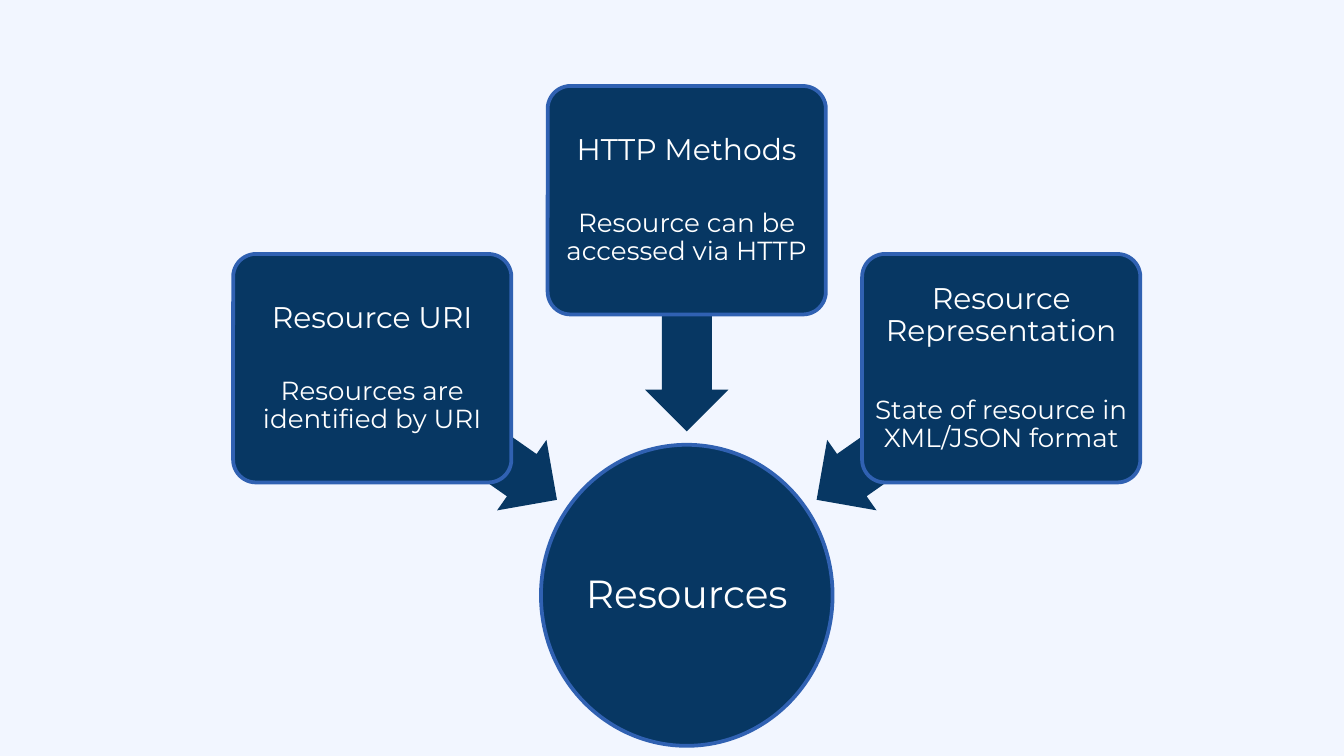
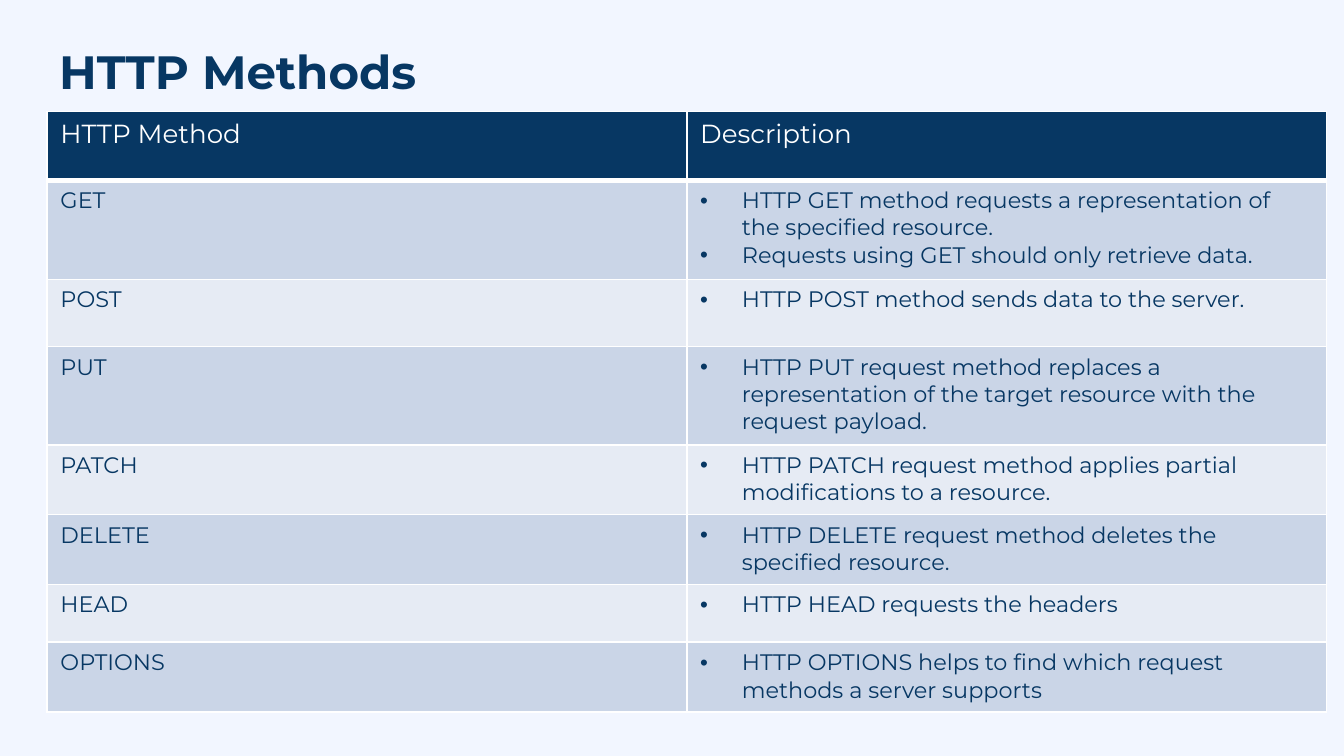
from typing import NamedTuple

from lxml.etree import SubElement
from pptx import Presentation
from pptx.dml.color import RGBColor
from pptx.enum.shapes import MSO_SHAPE as Kind
from pptx.enum.text import MSO_ANCHOR as Anchor, PP_ALIGN as Align
from pptx.oxml.ns import qn
from pptx.util import Inches, Pt

FONT = "Montserrat"
NAVY, BLUE, WHITE, PALE = "073763", "3061B2", "FFFFFF", "F2F6FF"
BANDS = ("CAD5E7", "E6EBF4")
WIDE = 10
MID = 5.11
STEP = 2.34
BOX_W, BOX_H = 2.07, 1.7


class Box(NamedTuple):
    """A rounded box with a heading, a note and the arrow that leaves it."""
    step: int
    top: float
    head: str
    note: str
    gap: float
    shift: float
    mid: float
    size: tuple[float, float]
    turn: int


class Method(NamedTuple):
    """A table row: its height, the method and what it does."""
    height: float
    name: str
    notes: tuple[str, ...]


BOXES = (
    Box(-1, 1.89, "Resource URI", "Resources are identified by URI",
        23, -1.65, 3.24, (1.67, 0.64), 215),
    Box(0, 0.64, "HTTP Methods", "Resource can be accessed via HTTP",
        23, 0, 2.35, (1.72, 0.62), 270),
    Box(1, 1.89, "Resource Representation", "State of resource in XML/JSON format",
        26, 1.65, 3.24, (1.67, 0.64), 325),
)

METHODS = (
    Method(0.74, "GET", (
        "HTTP GET method requests a representation of the specified resource.",
        "Requests using GET should only retrieve data.")),
    Method(0.5, "POST", ("HTTP POST method sends data to the server.",)),
    Method(0.73, "PUT", (
        "HTTP PUT request method replaces a representation of the target "
        "resource with the request payload.",)),
    Method(0.52, "PATCH", (
        "HTTP PATCH request method applies partial modifications to a resource.",)),
    Method(0.52, "DELETE", (
        "HTTP DELETE request method deletes the specified resource.",)),
    Method(0.43, "HEAD", ("HTTP HEAD requests the headers",)),
    Method(0.52, "OPTIONS", (
        "HTTP OPTIONS helps to find which request methods a server supports",)),
)


def paint(fill, color: str) -> None:
    """Make a fill solid in a hex colour."""
    fill.solid()
    fill.fore_color.rgb = RGBColor.from_string(color)


def style(para, size: float, color: str) -> None:
    """Set the font of a paragraph."""
    para.font.name = FONT
    para.font.size = Pt(size)
    paint(para.font.fill, color)


def shape(slide, kind: Kind, mid: float, top: float, width: float, height: float,
          edge: bool = True):
    """Add a navy shape centred on mid, with or without a blue edge."""
    item = slide.shapes.add_shape(
        kind, Inches(mid - width / 2), Inches(top), Inches(width), Inches(height))
    item.shadow.inherit = False
    paint(item.fill, NAVY)
    if edge:
        paint(item.line.fill, BLUE)
        item.line.width = Pt(2)
    else:
        item.line.fill.background()
    return item


def label(item, lines: tuple[tuple[str, float], ...], inset: float,
          gap: float = 0) -> None:
    """Write centred white lines in a shape, with a gap between them."""
    frame = item.text_frame
    frame.word_wrap = True
    frame.vertical_anchor = Anchor.MIDDLE
    frame.margin_left = frame.margin_right = Inches(inset)
    frame.margin_top = frame.margin_bottom = Inches(inset)
    for i, (text, size) in enumerate(lines):
        para = frame.add_paragraph() if i else frame.paragraphs[0]
        para.text = text
        para.alignment = Align.CENTER
        para.line_spacing = 0.9
        if i:
            para.space_before = Pt(gap)
        style(para, size, WHITE)


def bullet(para) -> None:
    """Give a paragraph a navy bullet and a hanging indent."""
    props = para._p.get_or_add_pPr()
    props.set("marL", str(Inches(0.31)))
    props.set("indent", str(-Inches(0.31)))
    tint = SubElement(props, qn("a:buClr"))
    SubElement(tint, qn("a:srgbClr"), val=NAVY)
    SubElement(props, qn("a:buFont"), typeface="Arial")
    SubElement(props, qn("a:buChar"), char="•")


def rule(cell, top: float, base: float) -> None:
    """Draw white borders around a cell, 1 point wide at the sides."""
    props = cell._tc.get_or_add_tcPr()
    for side, width in (("L", 1), ("R", 1), ("T", top), ("B", base)):
        line = SubElement(props, qn(f"a:ln{side}"), w=str(Pt(width)))
        tint = SubElement(line, qn("a:solidFill"))
        SubElement(tint, qn("a:srgbClr"), val=WHITE)


def fill_cell(cell, lines: tuple[str, ...], size: float, ink: str, back: str,
              dots: bool = False) -> None:
    """Colour a table cell and write its lines."""
    paint(cell.fill, back)
    frame = cell.text_frame
    for i, text in enumerate(lines):
        para = frame.add_paragraph() if i else frame.paragraphs[0]
        para.text = text
        if dots:
            bullet(para)
        style(para, size, ink)


def draw_hub(deck) -> None:
    """Draw the resource circle and the boxes that point at it."""
    slide = deck.slides.add_slide(deck.slide_layouts[6])
    hub = shape(slide, Kind.OVAL, MID, 3.31, 2.17, 2.24)
    label(hub, (("Resources", 21),), 0.01)
    for box in BOXES:
        width, height = box.size
        arrow = shape(slide, Kind.LEFT_ARROW, MID + box.shift, box.mid - height / 2,
                      width, height, edge=False)
        arrow.adjustments[0] = 0.6
        arrow.rotation = box.turn
        card = shape(slide, Kind.ROUNDED_RECTANGLE, MID + box.step * STEP, box.top,
                     BOX_W, BOX_H)
        card.adjustments[0] = 0.1
        label(card, ((box.head, 16), (box.note, 14)), 0.03, box.gap)


def draw_table(deck) -> None:
    """Draw the title and the table of methods."""
    slide = deck.slides.add_slide(deck.slide_layouts[5])
    title = slide.shapes.title
    title.left, title.top = Inches(0.34), Inches(0.21)
    title.width, title.height = Inches(9.32), Inches(0.63)
    frame = title.text_frame
    frame.text = "HTTP Methods"
    frame.vertical_anchor = Anchor.MIDDLE
    frame.margin_left = frame.margin_right = Inches(0.1)
    frame.margin_top = frame.margin_bottom = Inches(0.1)
    para = frame.paragraphs[0]
    para.alignment = Align.LEFT
    para.font.bold = True
    style(para, 25, NAVY)

    tall = 0.51 + sum(row.height for row in METHODS)
    grid = slide.shapes.add_table(len(METHODS) + 1, 2, Inches(0.35), Inches(0.83),
                                  Inches(9.52), Inches(tall)).table
    grid.rows[0].height = Inches(0.51)
    for col, text in enumerate(("HTTP Method", "Description")):
        rule(grid.cell(0, col), 1, 3)
        fill_cell(grid.cell(0, col), (text,), 14, WHITE, NAVY)
    for i, row in enumerate(METHODS, 1):
        grid.rows[i].height = Inches(row.height)
        back = BANDS[(i - 1) % 2]
        for col in range(2):
            rule(grid.cell(i, col), 3 if i == 1 else 1, 1)
        fill_cell(grid.cell(i, 0), (row.name,), 12, NAVY, back)
        fill_cell(grid.cell(i, 1), row.notes, 12, NAVY, back, dots=True)


def main() -> None:
    """Build and save both slides."""
    deck = Presentation()
    deck.slide_width, deck.slide_height = Inches(WIDE), Inches(WIDE * 9 / 16)
    paint(deck.slide_master.background.fill, PALE)
    draw_hub(deck)
    draw_table(deck)
    deck.save("out.pptx")


if __name__ == "__main__":
    main()
